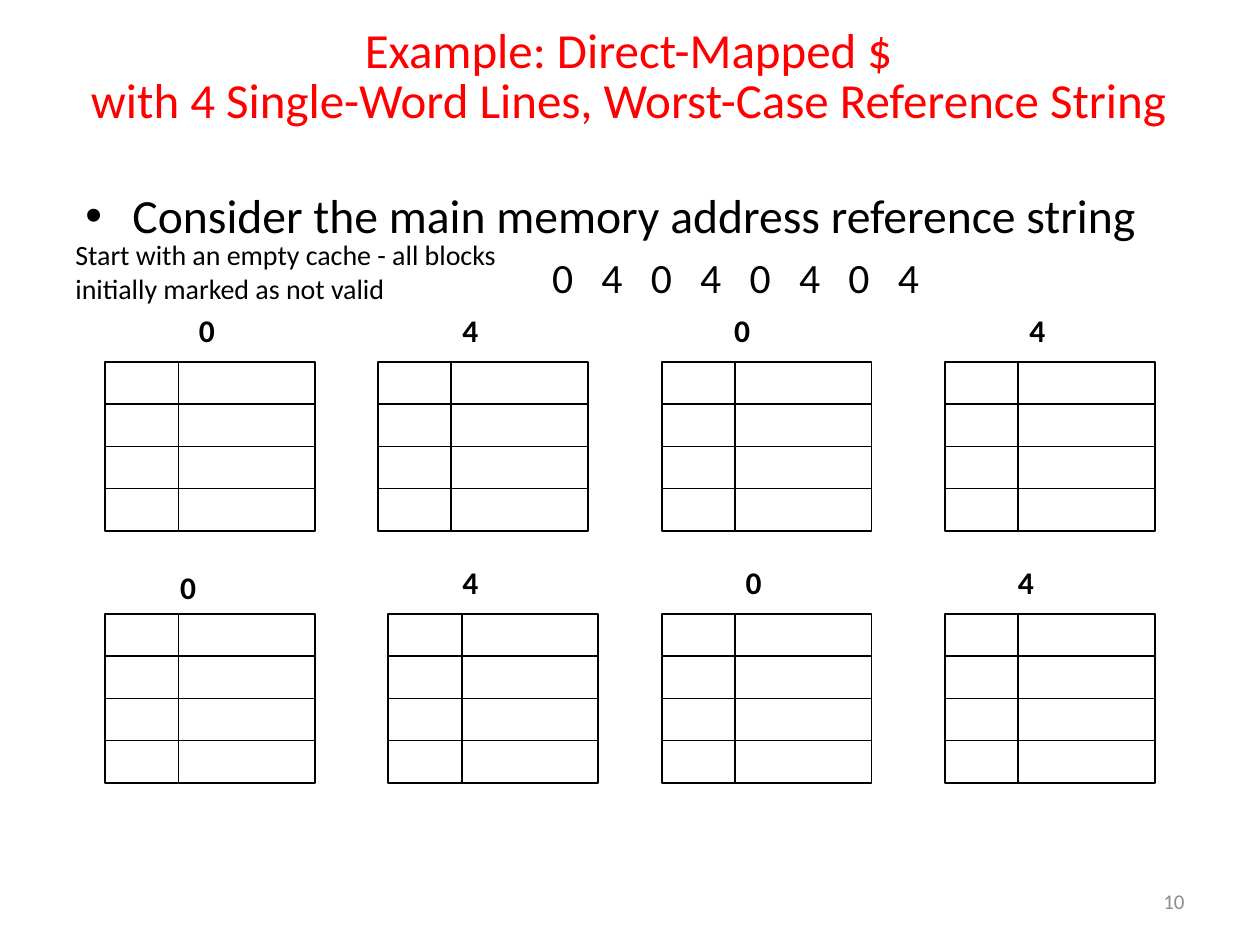
"""Build the slide on worst-case references to a direct-mapped cache."""
from lxml import etree
from pptx import Presentation
from pptx.dml.color import RGBColor
from pptx.enum.shapes import MSO_CONNECTOR as Connector, MSO_SHAPE as Shape
from pptx.enum.text import MSO_ANCHOR as Anchor, MSO_AUTO_SIZE as AutoSize, PP_ALIGN as Align
from pptx.oxml.ns import qn
from pptx.util import Cm, Pt

COLORS = {"title": "FF0000", "ink": "000000", "number": "8C8C8C"}
CELL_HEIGHT, CELL_COUNT = 0.85, 4
TAG_WIDTH, DATA_WIDTH = 1.48, 2.75
CACHE_ROWS = [
    {"top": 7.3, "lefts": [2.12, 7.62, 13.34, 19.05],
     "labels": [("0", 3.76, 6.15), ("4", 9.07, 6.15), ("0", 14.55, 6.15), ("4", 20.5, 6.15)]},
    {"top": 12.38, "lefts": [2.12, 7.83, 13.34, 19.05],
     "labels": [("0", 3.38, 11.33), ("4", 9.07, 11.23), ("0", 14.78, 11.23), ("4", 20.27, 11.23)]},
]


def style_text(paragraph, color, **formats):
    for run in paragraph.runs:
        run.font.color.rgb = RGBColor.from_string(COLORS[color])
        for name, value in {"name": "Calibri", **formats}.items():
            setattr(run.font, name, value)


def add_text(text, box, color, frame_formats, **font_formats):
    frame = slide.shapes.add_textbox(*map(Cm, box)).text_frame
    for name, value in {"word_wrap": True, **frame_formats}.items():
        setattr(frame, name, value)
    frame.text = text
    for paragraph in frame.paragraphs:
        style_text(paragraph, color, **font_formats)
    return frame


presentation = Presentation()
presentation.slide_width, presentation.slide_height = Cm(25.4), Cm(19.05)
slide = presentation.slides.add_slide(presentation.slide_layouts[5])

title = slide.shapes.title
title_box = {"left": Cm(1.24), "top": Cm(0), "width": Cm(22.86), "height": Cm(3.18)}
for name, value in title_box.items():
    setattr(title, name, value)
title.text_frame.text = "Example: Direct-Mapped $\vwith 4 Single-Word Lines, Worst-Case Reference String"
title_frame_formats = {"auto_size": AutoSize.NONE, "vertical_anchor": Anchor.MIDDLE}
for name, value in title_frame_formats.items():
    setattr(title.text_frame, name, value)
heading = title.text_frame.paragraphs[0]
heading.alignment, heading.line_spacing = Align.CENTER, 0.85
style_text(heading, "title", size=Pt(28))

for cache_row in CACHE_ROWS:
    top = cache_row["top"]
    for cache_left in cache_row["lefts"]:
        for left, width in ((cache_left, TAG_WIDTH), (cache_left + TAG_WIDTH, DATA_WIDTH)):
            column = slide.shapes.add_group_shape()
            frame = column.shapes.add_shape(
                Shape.RECTANGLE, Cm(left), Cm(top), Cm(width), Cm(CELL_HEIGHT * CELL_COUNT))
            frame.shadow.inherit = False
            frame.fill.background()
            outlines = [frame.line]
            for index in range(1, CELL_COUNT):
                y = Cm(top + index * CELL_HEIGHT)
                divider = column.shapes.add_connector(
                    Connector.STRAIGHT, Cm(left), y, Cm(left + width), y)
                etree.SubElement(divider.line._get_or_add_ln().getparent(), qn("a:effectLst"))
                outlines.append(divider.line)
            for outline in outlines:
                outline.color.rgb = RGBColor.from_string(COLORS["ink"])
                outline.width = Pt(1)
    for address, left, label_top in cache_row["labels"]:
        add_text(address, (left, label_top, 0.86, 1.02), "ink",
                 {"word_wrap": False, "auto_size": AutoSize.SHAPE_TO_FIT_TEXT},
                 size=Pt(18), bold=True)

body = add_text("Consider the main memory address reference string\n0 4 0 4 0 4 0 4",
                (1.47, 3.63, 22.66, 2.26), "ink", {}, size=Pt(27.2))
statement, references = body.paragraphs
statement_properties = statement._p.get_or_add_pPr()
statement_properties.set("marL", str(Cm(0.95)))
statement_properties.set("indent", str(Cm(-0.95)))
etree.SubElement(statement_properties, qn("a:buFont"), typeface="Arial")
etree.SubElement(statement_properties, qn("a:buChar"), char="•")
references.level, references.alignment, references.space_before = 1, Align.CENTER, Pt(4.8)
references._p.get_or_add_pPr().set("marL", str(Cm(4.06)))
references._p.get_or_add_pPr().set("indent", "0")
style_text(references, "ink", size=Pt(23.8))
references.runs[0].font._element.set("spc", "540")

add_text("Start with an empty cache - all blocks initially marked as not valid",
         (1.27, 4.67, 9.53, 1.63), "ink",
         {"auto_size": AutoSize.SHAPE_TO_FIT_TEXT}, size=Pt(16))
number = add_text("10", (18.21, 17.65, 5.92, 1.02), "number",
                  {"vertical_anchor": Anchor.MIDDLE}, size=Pt(12))
number.paragraphs[0].alignment = Align.RIGHT

presentation.save("out.pptx")
